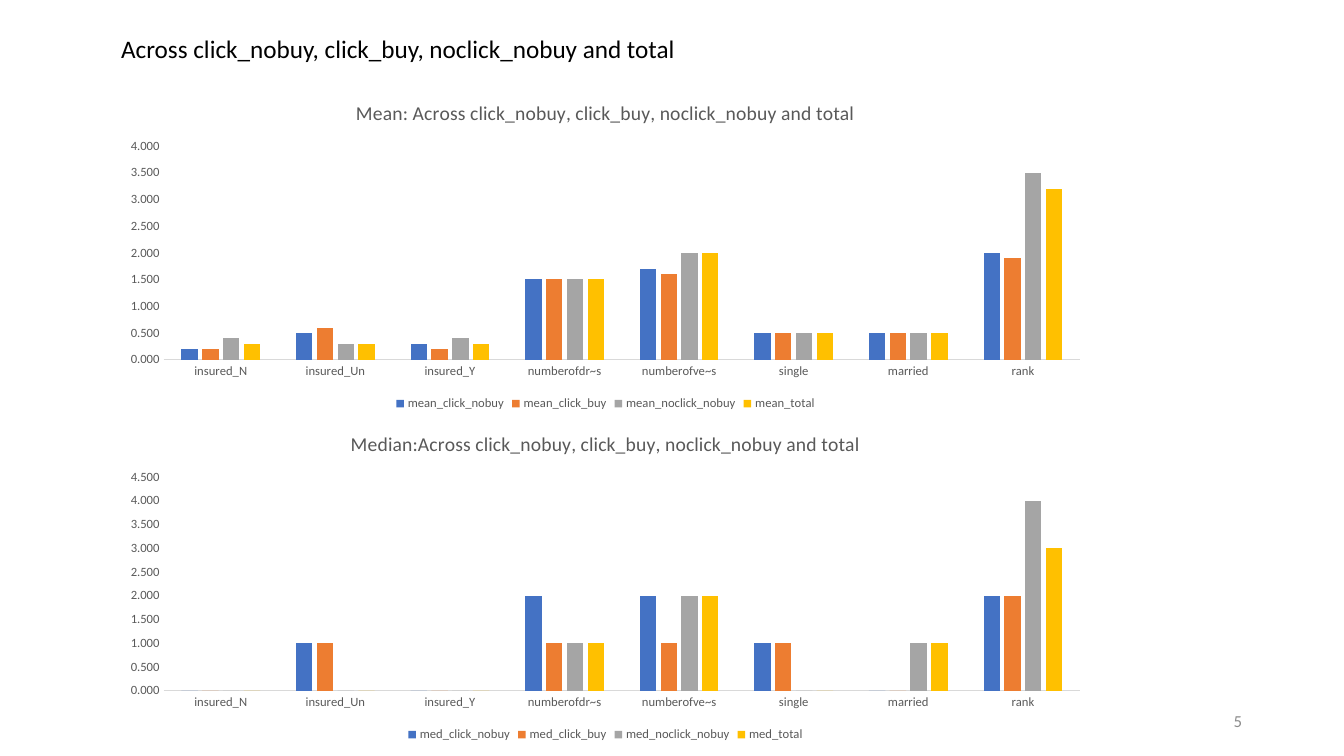
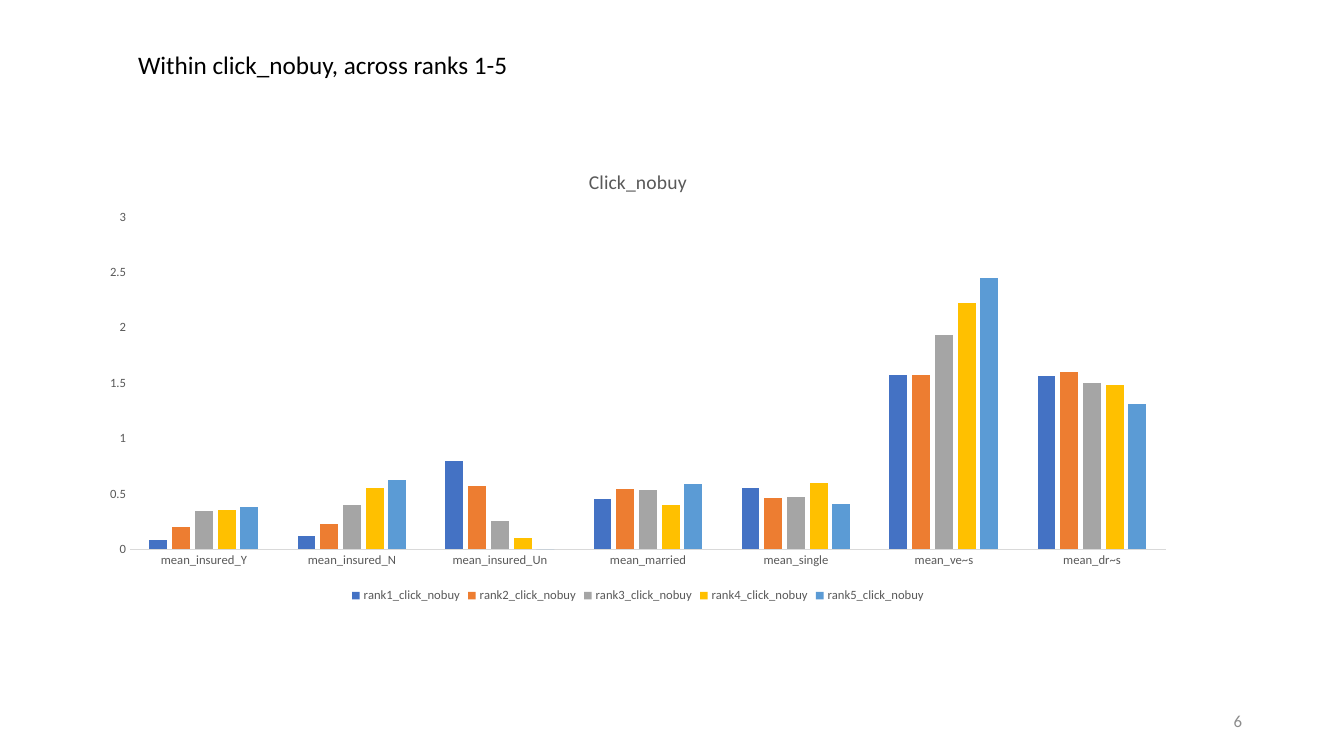
from pptx import Presentation
from pptx.chart.data import CategoryChartData
from pptx.dml.color import RGBColor
from pptx.enum.chart import XL_CHART_TYPE, XL_LEGEND_POSITION, XL_TICK_MARK
from pptx.enum.text import MSO_ANCHOR, PP_ALIGN
from pptx.util import Emu, Pt

COLUMNS = XL_CHART_TYPE.COLUMN_CLUSTERED
BOTTOM = XL_LEGEND_POSITION.BOTTOM
NO_TICK = XL_TICK_MARK.NONE
TOP, MIDDLE = MSO_ANCHOR.TOP, MSO_ANCHOR.MIDDLE
LEFT, RIGHT = PP_ALIGN.LEFT, PP_ALIGN.RIGHT

BLACK = RGBColor(0x00, 0x00, 0x00)
GREY = RGBColor(0x59, 0x59, 0x59)
NUMBER_GREY = RGBColor(0x8C, 0x8C, 0x8C)
AXIS_GREY = RGBColor(0xD9, 0xD9, 0xD9)
SERIES = [
    RGBColor(0x44, 0x72, 0xC4),
    RGBColor(0xED, 0x7D, 0x31),
    RGBColor(0xA5, 0xA5, 0xA5),
    RGBColor(0xFF, 0xC0, 0x00),
    RGBColor(0x5B, 0x9B, 0xD5),
]

FONT = "Calibri"
PX = 914400 / 100.8
TITLE_ONLY = 5


def px(n):
    return Emu(round(n * PX))


def set_font(font, size, color):
    for name, value in {"name": FONT, "size": Pt(size), "bold": False}.items():
        setattr(font, name, value)
    font.color.rgb = color


class Deck:
    """Holds the shared style and the current slide."""

    def __init__(self):
        self.prs = Presentation()
        self.prs.slide_width, self.prs.slide_height = px(1344), px(756)
        self.s = None

    def slide(self, title, box, number):
        self.s = self.prs.slides.add_slide(self.prs.slide_layouts[TITLE_ONLY])
        sp = self.s.shapes.title
        for name, n in zip(("left", "top", "width", "height"), box):
            setattr(sp, name, px(n))
        self.text(sp, title, 18, BLACK, LEFT, TOP, False)
        sp = self.s.shapes.add_textbox(*map(px, (950, 701, 302, 40)))
        self.text(sp, number, 12, NUMBER_GREY, RIGHT, MIDDLE, True)

    def text(self, sp, text, size, color, align, anchor, wrap):
        tf = sp.text_frame
        tf.text = text
        for name, value in {"word_wrap": wrap, "vertical_anchor": anchor}.items():
            setattr(tf, name, value)
        p = tf.paragraphs[0]
        p.alignment = align
        set_font(p.runs[0].font, size, color)

    def chart(self, box, title, categories, series, top, number_format="General"):
        data = CategoryChartData(number_format=number_format)
        data.categories = categories
        for name, values in series.items():
            data.add_series(name, values)
        chart = self.s.shapes.add_chart(COLUMNS, *map(px, box), data).chart
        set_font(chart.font, 10, BLACK)

        # Title and legend
        chart.has_title = True
        chart.chart_title.include_in_layout = False
        tf = chart.chart_title.text_frame
        tf.text = title
        set_font(tf.paragraphs[0].runs[0].font, 14, GREY)
        chart.has_legend = True
        chart.legend.position = BOTTOM
        chart.legend.include_in_layout = False
        set_font(chart.legend.font, 9, GREY)

        # Axes
        value_axis, category_axis = chart.value_axis, chart.category_axis
        for axis in (value_axis, category_axis):
            axis.has_major_gridlines = False
            axis.major_tick_mark = axis.minor_tick_mark = NO_TICK
            set_font(axis.tick_labels.font, 9, GREY)
        scale = {"minimum_scale": 0, "maximum_scale": top, "major_unit": 0.5}
        for name, value in scale.items():
            setattr(value_axis, name, value)
        value_axis.tick_labels.number_format = number_format
        value_axis.tick_labels.number_format_is_linked = False
        value_axis.format.line.fill.background()
        category_axis.format.line.color.rgb = AXIS_GREY
        category_axis.format.line.width = Pt(0.75)

        # Columns
        plot = chart.plots[0]
        plot.gap_width, plot.overlap, plot.vary_by_categories = 219, -27, False
        for one, color in zip(plot.series, SERIES):
            one.format.fill.solid()
            one.format.fill.fore_color.rgb = color


def main():
    deck = Deck()

    # Slide 1: mean and median by group
    deck.slide("Across click_nobuy, click_buy, noclick_nobuy and total",
               (111, 28, 581, 40), "5")
    categories = ["insured_N", "insured_Un", "insured_Y", "numberofdr~s",
                  "numberofve~s", "single", "married", "rank"]
    means = {
        "mean_click_nobuy": [0.2, 0.5, 0.3, 1.5, 1.7, 0.5, 0.5, 2],
        "mean_click_buy": [0.2, 0.6, 0.2, 1.5, 1.6, 0.5, 0.5, 1.9],
        "mean_noclick_nobuy": [0.4, 0.3, 0.4, 1.5, 2, 0.5, 0.5, 3.5],
        "mean_total": [0.3, 0.3, 0.3, 1.5, 2, 0.5, 0.5, 3.2],
    }
    medians = {
        "med_click_nobuy": [0, 1, 0, 2, 2, 1, 0, 2],
        "med_click_buy": [0, 1, 0, 1, 1, 1, 0, 2],
        "med_noclick_nobuy": [0, 0, 0, 1, 2, 0, 1, 4],
        "med_total": [0, 0, 0, 1, 2, 0, 1, 3],
    }
    panels = [
        ("Mean: Across click_nobuy, click_buy, noclick_nobuy and total", means, 4),
        ("Median:Across click_nobuy, click_buy, noclick_nobuy and total", medians, 4.5),
    ]
    for i, (title, series, top) in enumerate(panels):
        deck.chart((111, 84 + 331 * i, 989, 331), title, categories, series,
                   top, "0.000")

    # Slide 2: click_nobuy by rank
    deck.slide("Within click_nobuy, across ranks 1-5", (128, 44, 394, 40), "6")
    categories = ["mean_insured_Y", "mean_insured_N", "mean_insured_Un",
                  "mean_married", "mean_single", "mean_ve~s", "mean_dr~s"]
    ranks = [
        [0.08, 0.12, 0.8, 0.45, 0.55, 1.57, 1.56],
        [0.2, 0.23, 0.57, 0.54, 0.46, 1.57, 1.6],
        [0.34, 0.4, 0.25, 0.53, 0.47, 1.93, 1.5],
        [0.35, 0.55, 0.1, 0.4, 0.6, 2.22, 1.48],
        [0.38, 0.62, 0, 0.59, 0.41, 2.45, 1.31],
    ]
    series = {f"rank{i}_click_nobuy": values for i, values in enumerate(ranks, 1)}
    deck.chart((88, 150, 1100, 457), "Click_nobuy", categories, series, 3)

    deck.prs.save("out.pptx")


if __name__ == "__main__":
    main()
